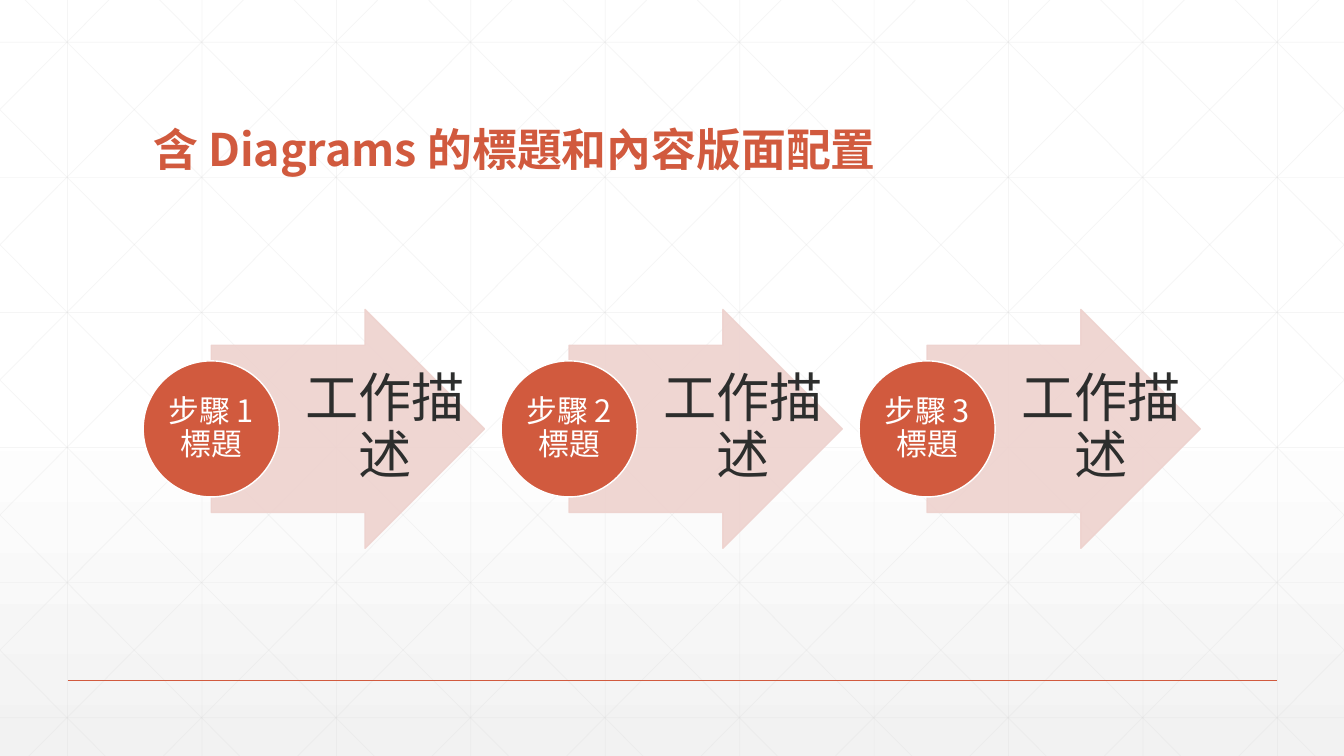
"""Build a three-step process slide over a faint lattice background."""
from copy import deepcopy

from pptx import Presentation
from pptx.dml.color import RGBColor
from pptx.enum.shapes import MSO_CONNECTOR, MSO_SHAPE
from pptx.enum.text import MSO_ANCHOR, PP_ALIGN
from pptx.oxml.ns import qn
from pptx.oxml.xmlchemy import OxmlElement
from pptx.util import Inches, Pt

TITLE = "含 Diagrams 的標題和內容版面配置"
STEPS = [("步驟 1 標題", "工作描述"), ("步驟 2 標題", "工作描述"), ("步驟 3 標題", "工作描述")]

STRAIGHT = MSO_CONNECTOR.STRAIGHT
ARROW, CIRCLE = MSO_SHAPE.RIGHT_ARROW, MSO_SHAPE.OVAL
MIDDLE, BOTTOM = MSO_ANCHOR.MIDDLE, MSO_ANCHOR.BOTTOM
LEFT, CENTER = PP_ALIGN.LEFT, PP_ALIGN.CENTER

FONT = "Noto Sans CJK TC"
WHITE = RGBColor(0xFF, 0xFF, 0xFF)
MIST = RGBColor(0xF2, 0xF2, 0xF2)
GRID = RGBColor(0xD9, 0xD9, 0xD9)
RUST = RGBColor(0xD1, 0x5A, 0x3E)
BLUSH = RGBColor(0xEE, 0xD2, 0xCE)
INK = RGBColor(0x2D, 0x2E, 0x2D)
BACKDROP = [(0, WHITE), (0.53, WHITE), (1, MIST)]

WIDTH, HEIGHT = 13.33, 7.5
GRID_STEP, GRID_LEFT, GRID_TOP, ROW_STEP = 4 / 3, 0.67, 0.42, 1.34
DIAGONAL_START, DIAGONAL_RUN = 0.25, 7.46
STEP_LEFT, STEP_PITCH = 1.42, 3.55
ARROW_TOP, ARROW_WIDTH, ARROW_HEIGHT = 3.07, 2.71, 2.37
CIRCLE_SIZE, DESCRIPTION_WIDTH = 1.35, 2.03

TITLE_FORMAT = {"size": Pt(32), "bold": True, "name": FONT}
STEP_FORMAT = {"size": Pt(22), "name": FONT}
DESCRIPTION_FORMAT = {"size": Pt(38), "name": FONT}


def set_alpha(fill_parent, percent):
    for color in fill_parent.iter(qn("a:srgbClr")):
        alpha = OxmlElement("a:alpha")
        alpha.set("val", str(percent * 1000))
        color.append(alpha)


def paint_background(slide):
    fill = slide.background.fill
    fill.gradient()
    fill.gradient_angle = 270
    stop_list = slide.element.find(".//" + qn("a:gsLst"))
    stop_list.append(deepcopy(stop_list[0]))
    for stop, (position, color) in zip(fill.gradient_stops, BACKDROP):
        stop.position = position
        stop.color.rgb = color


def draw_line(slide, start, end, color, width, alpha=100):
    line = slide.shapes.add_connector(STRAIGHT, *map(Inches, (*start, *end)))
    line.line.color.rgb = color
    line.line.width = Pt(width)
    line._element.spPr.append(OxmlElement("a:effectLst"))
    if alpha < 100:
        set_alpha(line._element.spPr, alpha)


def lattice():
    columns = [GRID_LEFT + GRID_STEP * i for i in range(10)]
    rows = [GRID_TOP + ROW_STEP * i for i in range(6)]
    lines = [((x, 0), (x, HEIGHT)) for x in columns]
    lines += [((0, y), (WIDTH, y)) for y in rows]
    slope = HEIGHT / DIAGONAL_RUN
    for i in range(-5, 10):
        top_x = DIAGONAL_START + GRID_STEP * i
        x1, x2 = max(top_x, 0), min(top_x + DIAGONAL_RUN, WIDTH)
        y1, y2 = (x1 - top_x) * slope, (x2 - top_x) * slope
        lines.append(((x1, y1), (x2, y2)))
        lines.append(((WIDTH - x1, y1), (WIDTH - x2, y2)))
    return lines


def write(frame, text, color, font_format, align, anchor, margins, spacing=0.9):
    frame.word_wrap = True
    frame.vertical_anchor = anchor
    for side, margin in zip(("left", "top", "right", "bottom"), margins):
        setattr(frame, "margin_" + side, Inches(margin))
    paragraph = frame.paragraphs[0]
    paragraph.alignment = align
    paragraph.line_spacing = spacing
    run = paragraph.add_run()
    run.text = text
    run.font.color.rgb = color
    for key, value in font_format.items():
        setattr(run.font, key, value)
    east_asian = OxmlElement("a:ea")
    east_asian.set("typeface", FONT)
    run.font._element.append(east_asian)


def add_box(slide, *box):
    return slide.shapes.add_textbox(*map(Inches, box)).text_frame


def add_figure(slide, kind, box, fill, outline):
    figure = slide.shapes.add_shape(kind, *map(Inches, box))
    figure.shadow.inherit = False
    figure.fill.solid()
    figure.fill.fore_color.rgb = fill
    figure.line.color.rgb = outline
    figure.line.width = Pt(1)
    return figure


def add_step(slide, left, step, description):
    middle = ARROW_TOP + ARROW_HEIGHT / 2
    arrow_left = left + CIRCLE_SIZE / 2
    arrow = add_figure(slide, ARROW, (arrow_left, ARROW_TOP, ARROW_WIDTH, ARROW_HEIGHT),
                       BLUSH, BLUSH)
    arrow.adjustments[0] = 0.7
    arrow.adjustments[1] = 0.5
    set_alpha(arrow._element.spPr, 90)
    text_left = arrow_left + ARROW_WIDTH - DESCRIPTION_WIDTH
    write(add_box(slide, text_left, ARROW_TOP, DESCRIPTION_WIDTH, ARROW_HEIGHT),
          description, INK, DESCRIPTION_FORMAT, CENTER, MIDDLE, (0.11, 0.03, 0.05, 0.03))
    circle = add_figure(slide, CIRCLE, (left, middle - CIRCLE_SIZE / 2, CIRCLE_SIZE, CIRCLE_SIZE),
                        RUST, WHITE)
    write(circle.text_frame, step, WHITE, STEP_FORMAT, CENTER, MIDDLE, (0, 0, 0, 0))


def main():
    deck = Presentation()
    deck.slide_width, deck.slide_height = Inches(WIDTH), Inches(HEIGHT)
    slide = deck.slides.add_slide(deck.slide_layouts[6])
    paint_background(slide)
    for start, end in lattice():
        draw_line(slide, start, end, GRID, 0.5, alpha=25)
    draw_line(slide, (GRID_LEFT, 6.75), (GRID_LEFT + 12, 6.75), RUST, 1)
    write(add_box(slide, STEP_LEFT, 0.55, 10.5, 1.25), TITLE, RUST, TITLE_FORMAT,
          LEFT, BOTTOM, (0.1, 0.05, 0.1, 0.05))
    for i, (step, description) in enumerate(STEPS):
        add_step(slide, STEP_LEFT + STEP_PITCH * i, step, description)
    deck.save("out.pptx")


if __name__ == "__main__":
    main()
